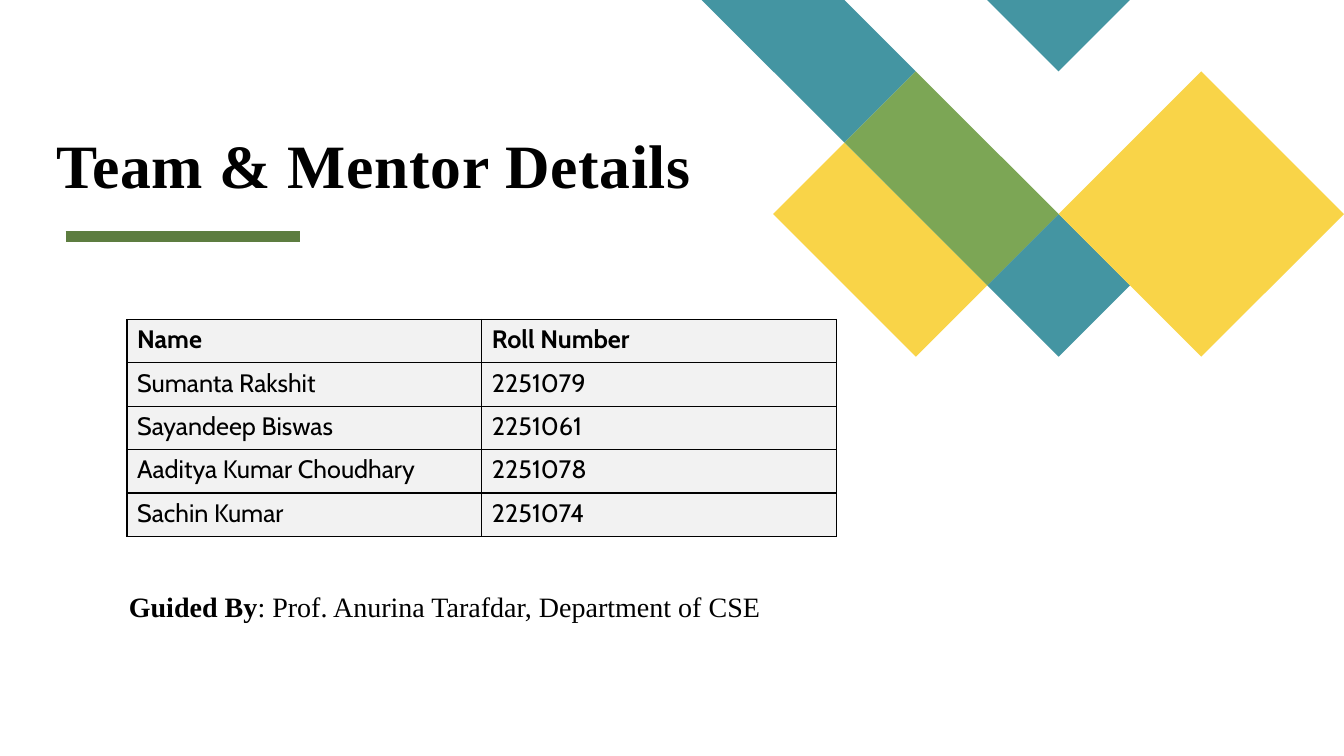
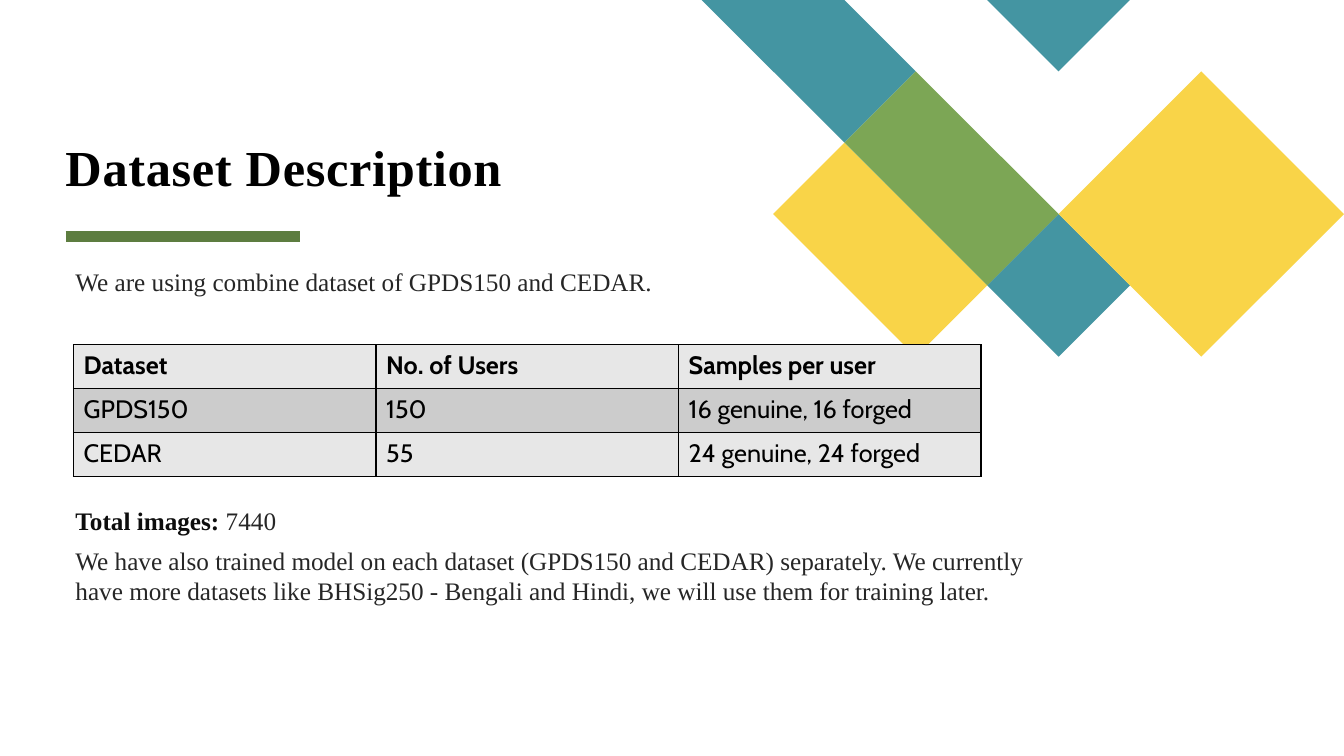
from dataclasses import dataclass

from lxml.etree import SubElement
from pptx import Presentation
from pptx.dml.color import RGBColor
from pptx.enum.text import MSO_ANCHOR, PP_ALIGN
from pptx.enum.shapes import MSO_CONNECTOR
from pptx.oxml.ns import qn
from pptx.slide import Slide
from pptx.table import _Cell
from pptx.util import Inches, Pt

COLORS = {
    "teal": "4495A2",
    "yellow": "F9D448",
    "green": "7CA655",
    "rule": "5D7D40",
    "black": "000000",
    "label": "0D0D0D",
    "body": "262626",
    "pale": "F2F2F2",
    "light": "E7E7E7",
    "medium": "CCCCCC",
}
TITLE_FONT = "Times New Roman"
TABLE_FONT = "Cabin"

# The corner pattern lies on a square grid that ends at the right edge
GRID_LEFT = 6.96
GRID_STEP = (13.33 - GRID_LEFT) / 9


@dataclass
class Box:
    left: float
    top: float
    width: float
    height: float

    def lengths(self) -> list[Inches]:
        return [Inches(value) for value in (self.left, self.top, self.width, self.height)]


@dataclass
class Tile:
    color: str
    outlines: list[list[tuple[int, int]]]  # grid column and row of each corner


@dataclass
class Phrase:
    text: str
    color: str = "body"
    bold: bool = False


TILES = [
    Tile("teal", [[(3, 1), (2, 0), (0, 0), (2, 2)], [(6, 4), (5, 3), (4, 4), (5, 5)]]),
    Tile("yellow", [[(2, 2), (1, 3), (3, 5), (4, 4)]]),
    Tile("teal", [[(6, 0), (4, 0), (5, 1)]]),
    Tile("green", [[(3, 1), (2, 2), (4, 4), (5, 3)]]),
    Tile("yellow", [[(9, 3), (7, 1), (5, 3), (7, 5)]]),
]


def rgb(name: str) -> RGBColor:
    return RGBColor.from_string(COLORS[name])


def grid_point(column: int, row: int) -> tuple[Inches, Inches]:
    return Inches(GRID_LEFT + column * GRID_STEP), Inches(row * GRID_STEP)


def add_tile(slide: Slide, tile: Tile) -> None:
    first, *others = [[grid_point(*corner) for corner in outline] for outline in tile.outlines]
    builder = slide.shapes.build_freeform(*first[0])
    builder.add_line_segments(first[1:], close=True)
    for points in others:
        builder.move_to(*points[0])
        builder.add_line_segments(points[1:], close=True)
    shape = builder.convert_to_shape()
    shape.shadow.inherit = False
    shape.fill.solid()
    shape.fill.fore_color.rgb = rgb(tile.color)
    shape.line.fill.background()


def add_title(slide: Slide, text: str, box: Box, size: int, alignment: PP_ALIGN) -> None:
    frame = slide.shapes.add_textbox(*box.lengths()).text_frame
    frame.word_wrap = True
    frame.vertical_anchor = MSO_ANCHOR.BOTTOM
    frame.margin_left = frame.margin_right = frame.margin_top = frame.margin_bottom = 0
    paragraph = frame.paragraphs[0]
    paragraph.alignment = alignment
    paragraph.line_spacing = 0.8
    run = paragraph.add_run()
    run.text = text
    run.font.name = TITLE_FONT
    run.font.size = Pt(size)
    run.font.bold = True
    run.font.color.rgb = rgb("black")
    run.font._element.set("spc", "50")


def add_base_slide(presentation: Presentation) -> Slide:
    """Add a blank slide with the corner pattern and the rule under the title."""
    slide = presentation.slides.add_slide(presentation.slide_layouts[6])
    for tile in TILES:
        add_tile(slide, tile)
    rule = slide.shapes.add_connector(
        MSO_CONNECTOR.STRAIGHT, Inches(0.65), Inches(2.35), Inches(2.98), Inches(2.35)
    )
    rule.line.color.rgb = rgb("rule")
    rule.line.width = Pt(8)
    SubElement(rule._element.spPr, qn("a:effectLst"))
    return slide


def add_text(slide: Slide, box: Box, size: int, phrases: list[Phrase]) -> None:
    frame = slide.shapes.add_textbox(*box.lengths()).text_frame
    frame.word_wrap = True
    paragraph = frame.paragraphs[0]
    paragraph.font.name = TITLE_FONT
    paragraph.font.size = Pt(size)
    for phrase in phrases:
        run = paragraph.add_run()
        run.text = phrase.text
        run.font.name = TITLE_FONT
        run.font.size = Pt(size)
        run.font.bold = phrase.bold
        run.font.color.rgb = rgb(phrase.color)


def set_borders(cell: _Cell, top: float, bottom: float) -> None:
    """Draw black borders; they must come before the fill in the cell properties."""
    properties = cell._tc.get_or_add_tcPr()
    widths = {"a:lnL": 1, "a:lnR": 1, "a:lnT": top, "a:lnB": bottom}
    for tag, width in widths.items():
        border = SubElement(properties, qn(tag), w=str(Pt(width)))
        fill = SubElement(border, qn("a:solidFill"))
        SubElement(fill, qn("a:srgbClr"), val=COLORS["black"])


def add_table(
    slide: Slide,
    box: Box,
    rows: list[list[str]],
    fills: list[str],
    thick_above: int | None = None,
) -> None:
    """Add a table with a bold first row; fills alternate from row to row."""
    frame = slide.shapes.add_table(len(rows), len(rows[0]), *box.lengths())
    table = frame.table
    table.horz_banding = False
    for row_index, texts in enumerate(rows):
        top = 2 if row_index == thick_above else 1
        bottom = 2 if row_index + 1 == thick_above else 1
        for column_index, text in enumerate(texts):
            cell = table.cell(row_index, column_index)
            set_borders(cell, top, bottom)
            cell.fill.solid()
            cell.fill.fore_color.rgb = rgb(fills[row_index % len(fills)])
            cell.text = text
            font = cell.text_frame.paragraphs[0].font
            font.name = TABLE_FONT
            font.size = Pt(18)
            font.bold = row_index == 0
            font.color.rgb = rgb("black")


def add_team_slide(presentation: Presentation) -> None:
    slide = add_base_slide(presentation)
    add_title(slide, "Team & Mentor Details", Box(0, 0.45, 7.42, 1.54), 44, PP_ALIGN.CENTER)
    members = [
        ["Name", "Roll Number"],
        ["Sumanta Rakshit", "2251079"],
        ["Sayandeep Biswas", "2251061"],
        ["Aaditya Kumar Choudhary", "2251078"],
        ["Sachin Kumar", "2251074"],
    ]
    add_table(slide, Box(1.26, 3.17, 7.04, 2.15), members, ["pale"], thick_above=4)
    add_text(slide, Box(1.18, 5.8, 6.96, 0.44), 20, [
        Phrase("Guided By", "black", True),
        Phrase(": Prof. Anurina Tarafdar, Department of CSE", "black"),
    ])


def add_dataset_slide(presentation: Presentation) -> None:
    slide = add_base_slide(presentation)
    add_title(slide, "Dataset Description", Box(0.65, 0.21, 6.86, 1.74), 36, PP_ALIGN.LEFT)
    add_text(slide, Box(0.65, 2.59, 6.22, 0.4), 18, [
        Phrase("We are using combine dataset of GPDS150 and CEDAR."),
    ])
    datasets = [
        ["Dataset", "No. of Users", "Samples per user"],
        ["GPDS150", "150", "16 genuine, 16 forged"],
        ["CEDAR", "55", "24 genuine, 24 forged"],
    ]
    add_table(slide, Box(0.73, 3.42, 9, 1.31), datasets, ["light", "medium"])
    add_text(slide, Box(0.65, 4.96, 2.28, 0.4), 18, [
        Phrase("Total images: ", "label", True),
        Phrase("7440"),
    ])
    add_text(slide, Box(0.65, 5.36, 10.11, 0.71), 18, [
        Phrase(
            "We have also trained model on each dataset (GPDS150 and CEDAR) separately. "
            "We currently have more datasets like BHSig250 - Bengali and Hindi, "
            "we will use them for training later."
        ),
    ])


def main() -> None:
    presentation = Presentation()
    presentation.slide_width = Inches(13.33)
    presentation.slide_height = Inches(7.5)
    add_team_slide(presentation)
    add_dataset_slide(presentation)
    presentation.save("out.pptx")


if __name__ == "__main__":
    main()
